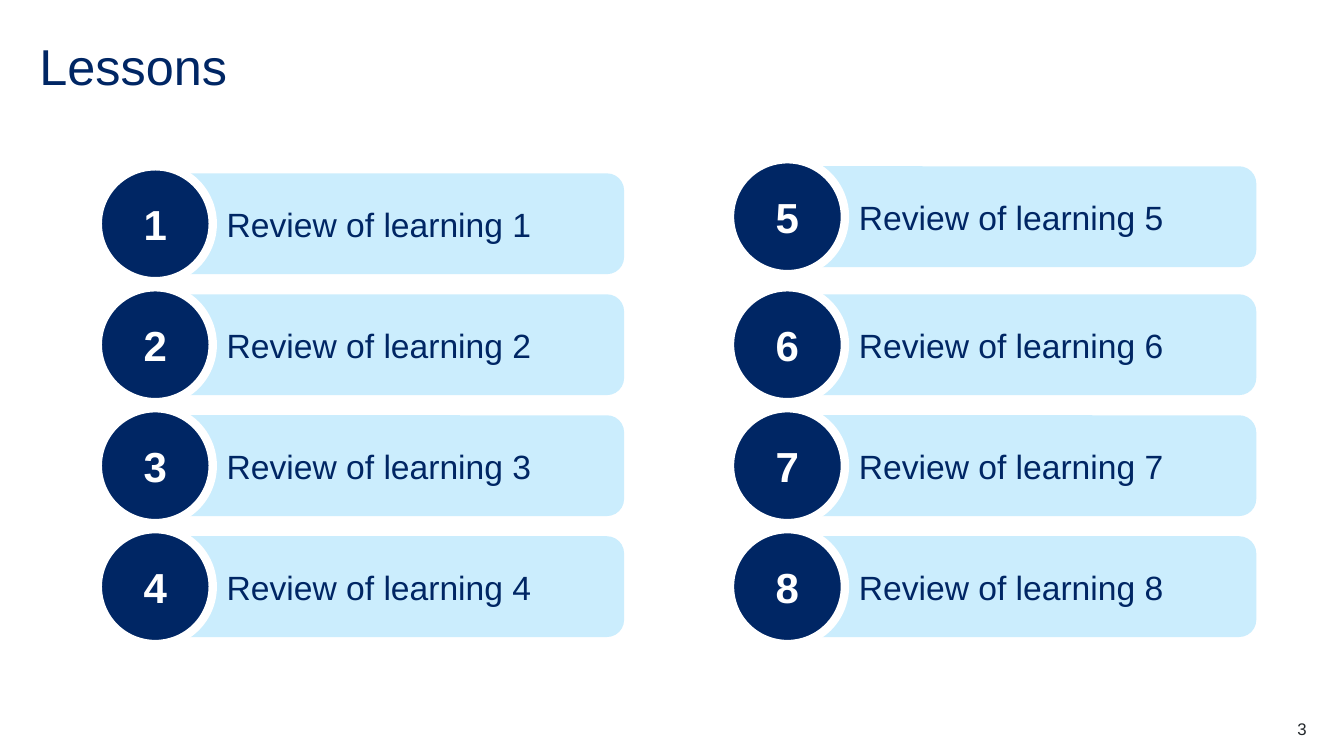
from pptx import Presentation
from pptx import util as u
from pptx.dml.color import RGBColor
from pptx.enum import shapes, text

NAVY = RGBColor(0x00, 0x26, 0x64)
SKY = RGBColor(0xCB, 0xED, 0xFD)
WHITE = RGBColor(0xFF, 0xFF, 0xFF)
INK = RGBColor(0x22, 0x27, 0x2B)
PX = 9144


class LessonSlide:
    """Holds the style and the current slide; lengths are px at 100 per inch."""

    font = "Arial"

    def __init__(self, deck):
        self.page = deck.slides.add_slide(deck.slide_layouts[5])

    def label(self, shape, words, size, color, align, bold=False):
        frame = shape.text_frame
        frame.word_wrap = True
        frame.auto_size = text.MSO_AUTO_SIZE.NONE
        frame.vertical_anchor = text.MSO_ANCHOR.MIDDLE
        para = frame.paragraphs[0]
        para.alignment = align
        span = para.add_run()
        span.text = words
        span.font.name = self.font
        span.font.size = u.Pt(size)
        span.font.bold = bold
        span.font.color.rgb = color
        return para

    def trim(self, box):
        frame = box.text_frame
        frame.margin_left = frame.margin_right = 0
        frame.margin_top = frame.margin_bottom = 0

    def title(self, words, left, top, width, height):
        box = self.page.shapes.title
        box.left, box.top = left * PX, top * PX
        box.width, box.height = width * PX, height * PX
        self.trim(box)
        para = self.label(box, words, 36, NAVY, text.PP_ALIGN.LEFT)
        para.line_spacing = 0.9

    def page_number(self, words, left, top, width, height):
        box = self.page.shapes.add_textbox(left * PX, top * PX, width * PX, height * PX)
        self.trim(box)
        self.label(box, words, 12, INK, text.PP_ALIGN.RIGHT)

    def shape(self, group, kind, fill, left, top, width, height):
        shape = group.shapes.add_shape(kind, left * PX, top * PX, width * PX, height * PX)
        shape.shadow.inherit = False
        shape.fill.solid()
        shape.fill.fore_color.rgb = fill
        shape.line.fill.background()
        return shape

    def lesson(self, number, left, top):
        group = self.page.shapes.add_group_shape()
        bar = self.shape(group, shapes.MSO_SHAPE.ROUNDED_RECTANGLE, SKY,
                         left + 74, top + 7, 448, 100)
        bar.adjustments[0] = 0.17
        para = self.label(bar, f"Review of learning {number}", 24, NAVY, text.PP_ALIGN.LEFT)
        indent = para._p.get_or_add_pPr()
        indent.set("marL", str(39 * PX))
        indent.set("indent", "0")
        badge = self.shape(group, shapes.MSO_SHAPE.OVAL, NAVY, left, top, 114, 114)
        badge.line.color.rgb = WHITE
        badge.line.width = u.Pt(6)
        self.label(badge, str(number), 30, WHITE, text.PP_ALIGN.CENTER, bold=True)


def main():
    deck = Presentation()
    deck.slide_width, deck.slide_height = u.Inches(13.33), u.Inches(7.5)
    slide = LessonSlide(deck)
    slide.title("Lessons", 39, 39, 1256, 60)
    columns = [(97, (165, 285, 405, 525)), (724, (158, 285, 405, 525))]
    number = 0
    for left, tops in columns:
        for top in tops:
            number += 1
            slide.lesson(number, left, top)
    slide.page_number("3", 1217, 713, 79, 20)
    deck.save("out.pptx")


if __name__ == "__main__":
    main()
